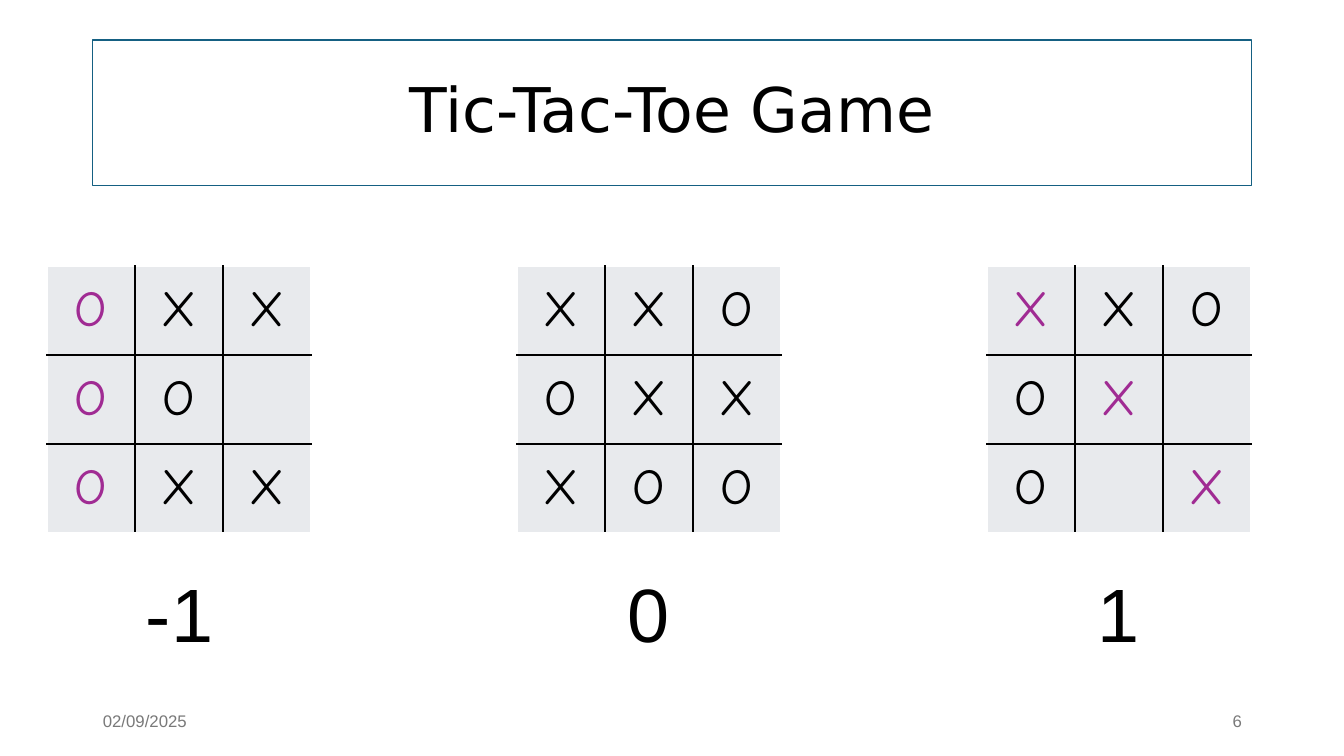
from dataclasses import dataclass

from lxml.etree import SubElement
from pptx import Presentation
from pptx.dml.color import RGBColor
from pptx.enum.text import MSO_ANCHOR as Anchor, MSO_AUTO_SIZE as AutoSize, PP_ALIGN as Align
from pptx.oxml.ns import qn
from pptx.util import Emu, Pt

PX = 914400 / 100.8
CELL_W, CELL_H = 88, 89
BOARD_LEFT, BOARD_TOP, BOARD_STEP = 47, 266, 470
BLACK, WHITE, PURPLE = "000000", "FFFFFF", "A02B93"
GREY, CELL_FILL, TITLE_LINE = "797979", "E8EAED", "156082"

Box = tuple[int, int, int, int]


@dataclass(frozen=True)
class Board:
    rows: tuple[str, str, str]
    winning: tuple[tuple[int, int], ...]
    score: str
    score_width: int


@dataclass(frozen=True)
class Footer:
    text: str
    left: int
    align: Align


BOARDS = [
    Board(("OXX", "OO ", "OXX"), ((0, 0), (1, 0), (2, 0)), "-1", 89),
    Board(("XXO", "OXX", "XOO"), (), "0", 62),
    Board(("XXO", "OX ", "O X"), ((0, 0), (1, 1), (2, 2)), "1", 62),
]
FOOTERS = [Footer("02/09/2025", 93, Align.LEFT), Footer("6", 950, Align.RIGHT)]


def px(n: float) -> Emu:
    return Emu(round(n * PX))


def color(value: str) -> RGBColor:
    return RGBColor.from_string(value)


def write(tf, text: str, size: int, font: str, rgb: str, align: Align) -> None:
    p = tf.paragraphs[0]
    p.alignment = align
    r = p.add_run()
    r.text = text
    for name, value in {"size": Pt(size), "name": font, "bold": False}.items():
        setattr(r.font, name, value)
    r.font.color.rgb = color(rgb)


def add_text(s, box: Box, text: str, size: int, rgb: str, align: Align, **frame) -> None:
    tf = s.shapes.add_textbox(*map(px, box)).text_frame
    for name, value in frame.items():
        setattr(tf, name, value)
    write(tf, text, size, "Arial", rgb, align)


def set_borders(cell, row: int, col: int) -> None:
    """Rule the inner edges black and the outer edges white."""
    outer = {"L": col == 0, "R": col == 2, "T": row == 0, "B": row == 2}
    for side, is_outer in outer.items():
        ln = SubElement(cell._tc.get_or_add_tcPr(), qn(f"a:ln{side}"), w=str(Pt(1)))
        fill = SubElement(ln, qn("a:solidFill"))
        SubElement(fill, qn("a:srgbClr"), val=WHITE if is_outer else BLACK)


def add_board(s, board: Board, left: int) -> None:
    box = (left, BOARD_TOP, 3 * CELL_W, 3 * CELL_H)
    table = s.shapes.add_table(3, 3, *map(px, box)).table
    table.first_row = table.horz_banding = False
    for row, marks in enumerate(board.rows):
        for col, mark in enumerate(marks):
            cell = table.cell(row, col)
            set_borders(cell, row, col)
            cell.fill.solid()
            cell.fill.fore_color.rgb = color(CELL_FILL)
            cell.vertical_anchor = Anchor.MIDDLE
            if mark != " ":
                rgb = PURPLE if (row, col) in board.winning else BLACK
                write(cell.text_frame, mark, 36, "Comic Neue", rgb, Align.CENTER)

    center = left + 3 * CELL_W // 2
    score_box = (center - board.score_width // 2, 562, board.score_width, 102)
    add_text(s, score_box, board.score, 54, BLACK, Align.CENTER,
             word_wrap=False, auto_size=AutoSize.SHAPE_TO_FIT_TEXT)


def add_title(s, text: str) -> None:
    title = s.shapes.title
    for name, value in zip(("left", "top", "width", "height"), (93, 40, 1159, 146)):
        setattr(title, name, px(value))
    title.line.color.rgb = color(TITLE_LINE)
    title.line.width = Pt(0.75)
    tf = title.text_frame
    frame = {"vertical_anchor": Anchor.MIDDLE, "word_wrap": True, "auto_size": AutoSize.NONE}
    for name, value in frame.items():
        setattr(tf, name, value)
    write(tf, text, 44, "DejaVu Sans", BLACK, Align.CENTER)
    tf.paragraphs[0].line_spacing = 0.9


def main() -> None:
    prs = Presentation()
    prs.slide_width, prs.slide_height = px(1344), px(756)
    s = prs.slides.add_slide(prs.slide_layouts[5])
    add_title(s, "Tic-Tac-Toe Game")
    for i, board in enumerate(BOARDS):
        add_board(s, board, BOARD_LEFT + i * BOARD_STEP)
    for footer in FOOTERS:
        add_text(s, (footer.left, 701, 302, 40), footer.text, 12, GREY, footer.align,
                 word_wrap=True, vertical_anchor=Anchor.MIDDLE)
    prs.save("out.pptx")


if __name__ == "__main__":
    main()
